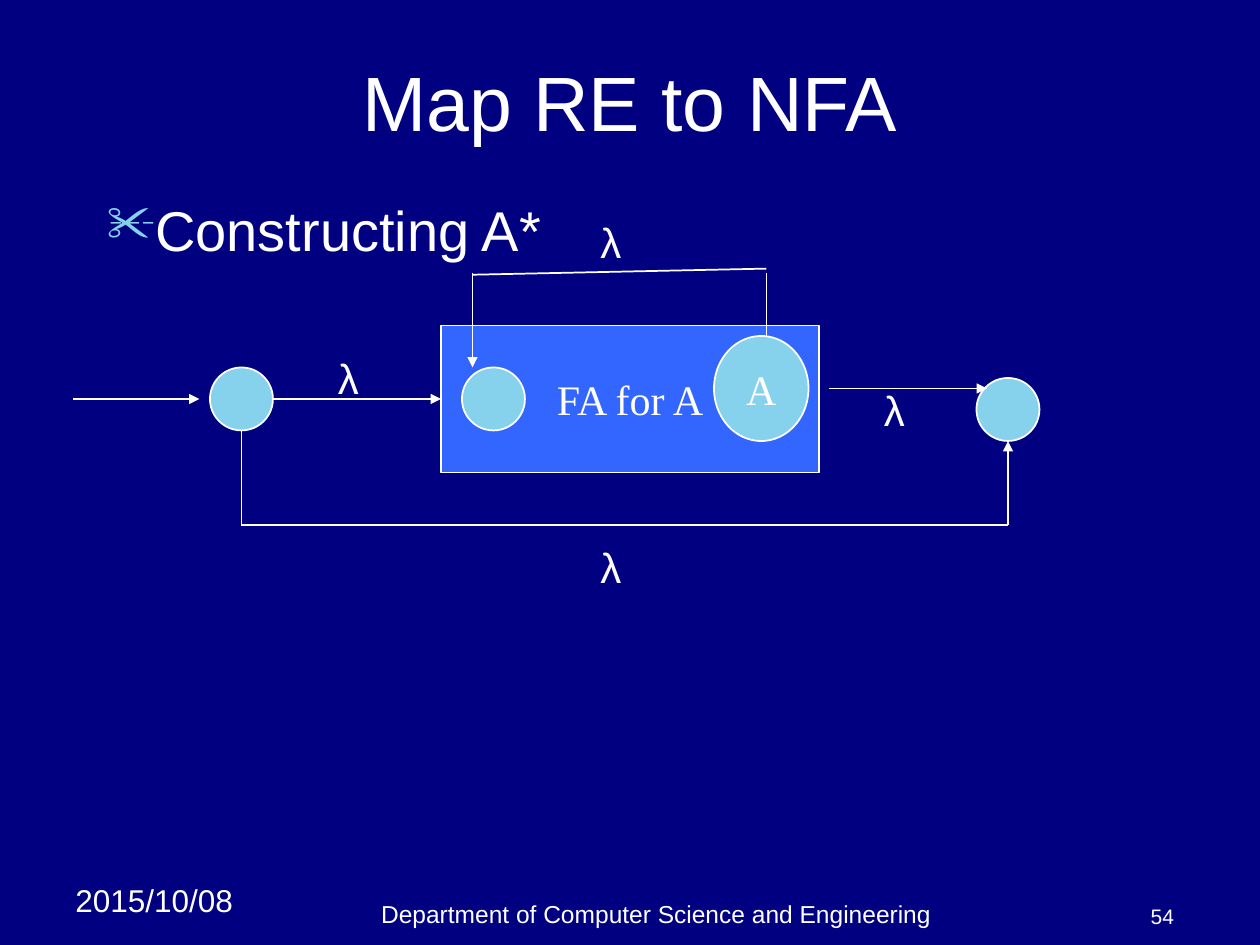
import dataclasses

import pptx
import pptx.dml.color
import pptx.enum.shapes
import pptx.enum.text
import pptx.oxml.ns
import pptx.util
from lxml import etree

Pt = pptx.util.Pt
Shape = pptx.enum.shapes.MSO_SHAPE
Align = pptx.enum.text.PP_ALIGN
Anchor = pptx.enum.text.MSO_ANCHOR


@dataclasses.dataclass(frozen=True)
class Theme:
    background: str = "000080"
    ink: str = "FFFFFF"
    state: str = "86D1EC"
    automaton: str = "3366FF"
    sans: str = "Arial"
    serif: str = "Times New Roman"
    title: int = 44
    body: int = 32
    label: int = 24
    date: int = 18
    footer: int = 14
    number: int = 12
    line: int = 1


def color(value):
    return pptx.dml.color.RGBColor.from_string(value)


def add_element(parent, tag, **attributes):
    return etree.SubElement(parent, pptx.oxml.ns.qn(tag), attributes)


class SlideBuilder:
    def __init__(self, slide, theme):
        self.slide = slide
        self.theme = theme
        fill = slide.background.fill
        fill.solid()
        fill.fore_color.rgb = color(theme.background)

    def fill_text(self, box, text, size, font=None, align=Align.LEFT,
                  anchor=Anchor.TOP, wrap=True, bullet=None):
        frame = box.text_frame
        frame_format = {"word_wrap": wrap, "vertical_anchor": anchor,
                        "auto_size": pptx.enum.text.MSO_AUTO_SIZE.NONE}
        for name, value in frame_format.items():
            setattr(frame, name, value)
        para = frame.paragraphs[0]
        para.alignment = align
        if bullet:
            self.add_bullet(para, bullet)
        span = para.add_run()
        span.text = text
        for name, value in {"size": Pt(size), "name": font or self.theme.sans,
                            "bold": False}.items():
            setattr(span.font, name, value)
        span.font.color.rgb = color(self.theme.ink)

    def add_bullet(self, para, character):
        properties = para._p.get_or_add_pPr()
        indent = Pt(27)
        properties.set("marL", str(indent))
        properties.set("indent", str(-indent))
        bullet_color = add_element(properties, "a:buClr")
        add_element(bullet_color, "a:srgbClr", val=self.theme.state)
        add_element(properties, "a:buSzPct", val="90000")
        add_element(properties, "a:buChar", char=character)

    def title(self, text, left, top, width, height):
        box = self.slide.shapes.title
        for name, value in {"left": left, "top": top,
                            "width": width, "height": height}.items():
            setattr(box, name, Pt(value))
        self.fill_text(box, text, self.theme.title, align=Align.CENTER,
                       anchor=Anchor.MIDDLE)

    def text(self, text, left, top, width, height, size, **text_format):
        box = self.slide.shapes.add_textbox(Pt(left), Pt(top), Pt(width), Pt(height))
        self.fill_text(box, text, size, **text_format)

    def shape(self, kind, left, top, width, height, fill, text=None):
        shape = self.slide.shapes.add_shape(
            kind, Pt(left), Pt(top), Pt(width), Pt(height))
        shape.shadow.inherit = False
        shape.fill.solid()
        shape.fill.fore_color.rgb = color(fill)
        shape.line.color.rgb = color(self.theme.ink)
        shape.line.width = Pt(self.theme.line)
        if text:
            self.fill_text(shape, text, self.theme.label, font=self.theme.serif,
                           align=Align.CENTER, anchor=Anchor.MIDDLE, wrap=False)
        return shape

    def line(self, start, end, arrow=False):
        connector = self.slide.shapes.add_connector(
            pptx.enum.shapes.MSO_CONNECTOR.STRAIGHT,
            *(Pt(value) for value in (*start, *end)))
        connector.line.color.rgb = color(self.theme.ink)
        connector.line.width = Pt(self.theme.line)
        if arrow:
            add_element(connector.line._get_or_add_ln(), "a:tailEnd", type="triangle")
        add_element(connector._element.spPr, "a:effectLst")
        return connector

    def route(self, *points):
        """Draw lines through the points, with an arrowhead at the last one."""
        for index in range(1, len(points)):
            self.line(points[index - 1], points[index], arrow=index == len(points) - 1)


def main():
    theme = Theme()
    deck = pptx.Presentation()
    deck.slide_width, deck.slide_height = Pt(720), Pt(540)
    page = SlideBuilder(deck.slides.add_slide(deck.slide_layouts[5]), theme)

    page.text("2015/10/08", 36, 500, 114, 29, theme.date)
    page.text("Department of Computer Science and Engineering", 132, 510, 486, 24,
              theme.footer, align=Align.CENTER, anchor=Anchor.BOTTOM)
    page.text("54", 630, 510, 48, 24, theme.number,
              align=Align.RIGHT, anchor=Anchor.BOTTOM)
    page.title("Map RE to NFA", 36, 21.6, 648, 72)
    page.text("Constructing A*", 54, 108, 612, 402, theme.body, bullet="✂")

    automaton = page.shape(Shape.RECTANGLE, 252, 186, 216, 84,
                           theme.automaton, "FA for A")
    page.shape(Shape.OVAL, 408, 192, 54, 60, theme.state, "A")
    for left, top in ((264, 210), (558, 216), (120, 210)):
        page.shape(Shape.OVAL, left, top, 36, 36, theme.state)

    page.route((42, 228), (114, 228))
    entry = page.line((156, 228), (252, 228), arrow=True)
    entry.end_connect(automaton, 1)
    page.line((438, 192), (438, 156))
    page.line((270, 157), (438, 153.5))
    page.route((270, 156), (270, 210))
    page.route((474, 222), (564, 222))
    page.route((138, 246), (138, 300), (576, 300), (576, 252))

    for left, top in ((186, 198), (336, 120), (336, 306), (498, 216)):
        page.text("λ", left, top, 27, 36, theme.label, wrap=False)

    deck.save("out.pptx")


if __name__ == "__main__":
    main()
